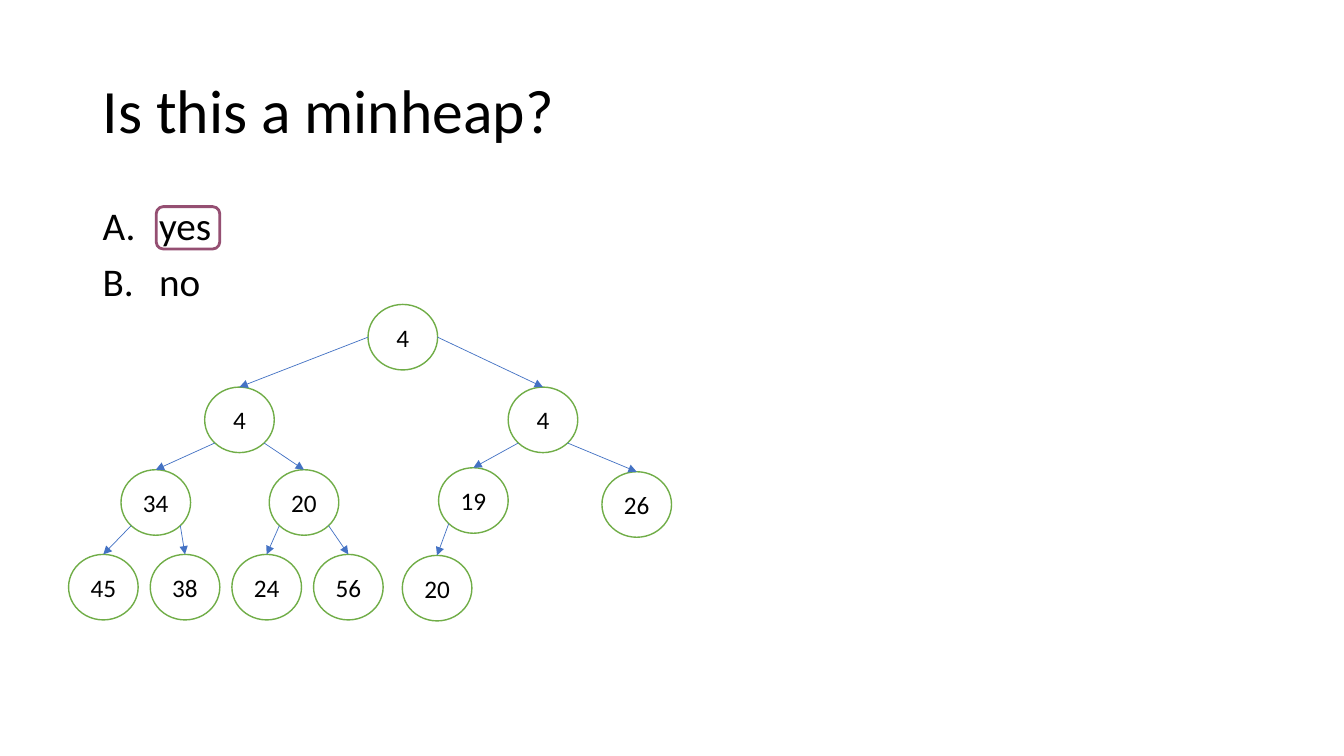
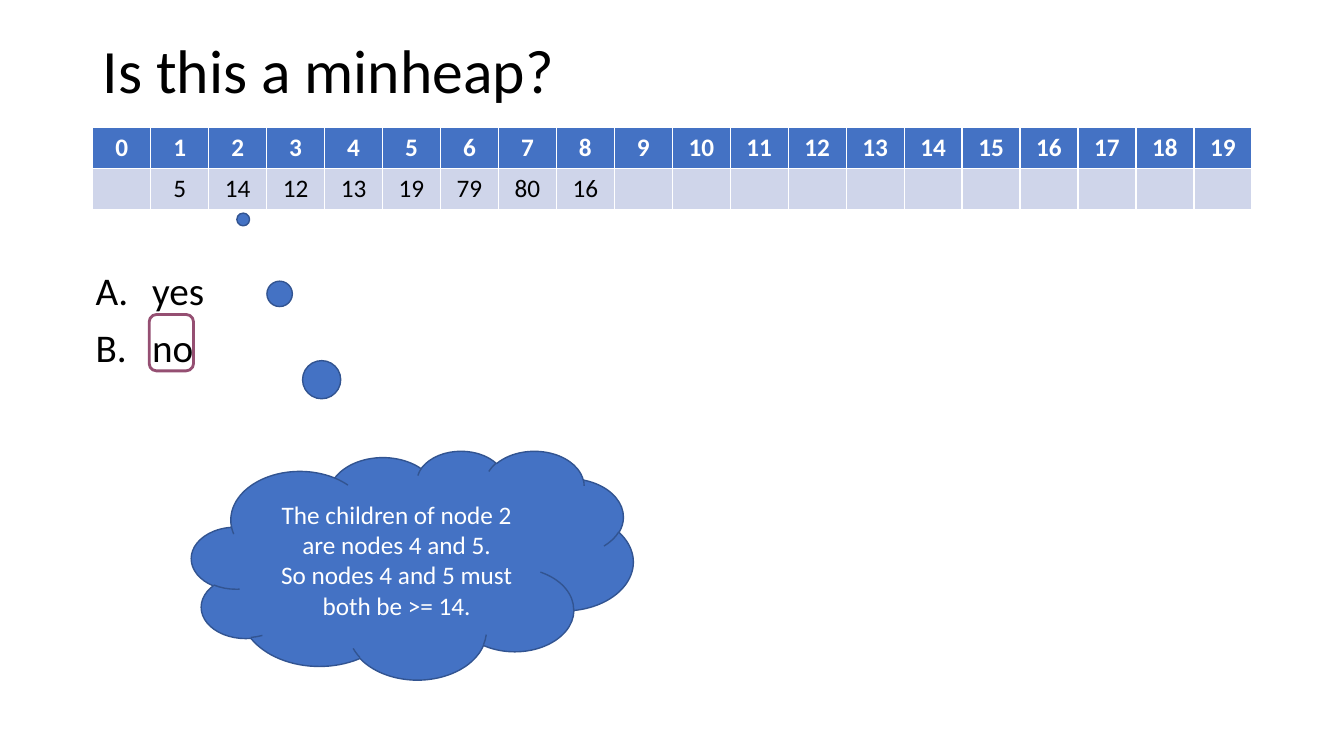
from dataclasses import dataclass
from math import sqrt

from lxml import etree
from pptx import Presentation
from pptx import util as u
from pptx.dml.color import RGBColor
from pptx.enum import shapes, text
from pptx.oxml import ns

FONT = "Calibri"
BLACK, WHITE = "000000", "FFFFFF"
BLUE, DARK_BLUE, PALE_BLUE = "4472C4", "325491", "CFD5EA"
GREEN, PURPLE = "70AD47", "954F72"
NODE_WIDTH, NODE_HEIGHT = 0.69, 0.65
MARGIN, CONTENT_WIDTH = 0.92, 11.5
COLUMNS, ROW_HEIGHT = 20, 0.41


@dataclass(frozen=True)
class Box:
    left: float
    top: float
    width: float
    height: float

    def lengths(self) -> list:
        return [u.Inches(n) for n in (self.left, self.top, self.width, self.height)]


@dataclass(frozen=True)
class Node:
    value: int
    left: float
    top: float

    @property
    def center(self) -> float:
        return self.left + NODE_WIDTH / 2

    @property
    def middle(self) -> float:
        return self.top + NODE_HEIGHT / 2


def rgb(color: str) -> RGBColor:
    return RGBColor.from_string(color)


def write(frame, *lines: str, size: float = 18, color: str = BLACK, bold: bool = False,
          align=text.PP_ALIGN.LEFT, anchor=None, spacing: float = 1.0,
          before: float = 0, lettered: bool = False) -> None:
    frame.word_wrap = True
    if anchor is not None:
        frame.vertical_anchor = anchor
    for index, line in enumerate(lines):
        paragraph = frame.add_paragraph() if index else frame.paragraphs[0]
        paragraph.alignment = align
        paragraph.line_spacing = spacing
        paragraph.space_before = u.Pt(before)
        run = paragraph.add_run()
        run.text = line
        run.font.name = FONT
        run.font.size = u.Pt(size)
        run.font.bold = bold
        run.font.color.rgb = rgb(color)
        if lettered:
            properties = paragraph._p.get_or_add_pPr()
            indent = u.Inches(0.56)
            properties.set("marL", str(indent))
            properties.set("indent", str(-indent))
            etree.SubElement(properties, ns.qn("a:buAutoNum"), type="alphaUcPeriod")


def draw_shape(parent, preset, box: Box, line: str, width: float, fill: str | None = None):
    shape = parent.add_shape(preset, *box.lengths())
    shape.shadow.inherit = False
    if fill:
        shape.fill.solid()
        shape.fill.fore_color.rgb = rgb(fill)
    else:
        shape.fill.background()
    shape.line.color.rgb = rgb(line)
    shape.line.width = u.Pt(width)
    return shape


def add_question(slide, title: Box, answers: Box) -> None:
    write(slide.shapes.add_textbox(*title.lengths()).text_frame, "Is this a minheap?",
          size=44, anchor=text.MSO_ANCHOR.MIDDLE, spacing=0.9)
    write(slide.shapes.add_textbox(*answers.lengths()).text_frame, "yes", "no",
          size=28, spacing=0.9, before=10, lettered=True)


def mark_answer(slide, box: Box) -> None:
    draw_shape(slide.shapes, shapes.MSO_SHAPE.ROUNDED_RECTANGLE, box, PURPLE, 2)


def draw_node(parent, node: Node) -> None:
    circle = draw_shape(parent, shapes.MSO_SHAPE.FLOWCHART_CONNECTOR,
                        Box(node.left, node.top, NODE_WIDTH, NODE_HEIGHT), GREEN, 1, WHITE)
    write(circle.text_frame, str(node.value), align=text.PP_ALIGN.CENTER,
          anchor=text.MSO_ANCHOR.MIDDLE)


def draw_edge(parent, start: Node, child: Node, from_side: bool) -> None:
    side = -1 if child.center < start.center else 1
    across, down = (1, 0) if from_side else (1 / sqrt(2), 1 / sqrt(2))
    ends = (start.center + side * across * NODE_WIDTH / 2,
            start.middle + down * NODE_HEIGHT / 2, child.center, child.top)
    arrow = parent.add_connector(shapes.MSO_CONNECTOR.STRAIGHT, *map(u.Inches, ends))
    arrow.line.color.rgb = rgb(BLUE)
    arrow.line.width = u.Pt(0.5)
    etree.SubElement(arrow.line._get_or_add_ln(), ns.qn("a:tailEnd"), type="triangle")
    etree.SubElement(arrow._element.spPr, ns.qn("a:effectLst"))


def draw_heap(slide, heap: list[Node]) -> None:
    tree = slide.shapes.add_group_shape().shapes
    for node in heap:
        draw_node(tree, node)
    for position, child in enumerate(heap[1:], start=1):
        parent = (position - 1) // 2
        draw_edge(tree, heap[parent], child, from_side=parent == 0)


def draw_array(slide, values: list[int]) -> None:
    box = Box(MARGIN, 1.26, CONTENT_WIDTH, 2 * ROW_HEIGHT)
    table = slide.shapes.add_table(2, COLUMNS, *box.lengths()).table
    table.horz_banding = False
    entries = ["", *map(str, values)]
    entries += [""] * (COLUMNS - len(entries))
    for row in table.rows:
        row.height = u.Inches(ROW_HEIGHT)
    for index, entry in enumerate(entries):
        table.columns[index].width = u.Inches(CONTENT_WIDTH / COLUMNS)
        for row, (label, fill, color) in enumerate(
                [(str(index), BLUE, WHITE), (entry, PALE_BLUE, BLACK)]):
            cell = table.cell(row, index)
            cell.fill.solid()
            cell.fill.fore_color.rgb = rgb(fill)
            if label:
                write(cell.text_frame, label, color=color, bold=row == 0,
                      align=text.PP_ALIGN.CENTER)


def draw_thought(slide) -> None:
    cloud = draw_shape(slide.shapes, shapes.MSO_SHAPE.CLOUD_CALLOUT,
                       Box(1.9, 4.47, 4.38, 2.27), DARK_BLUE, 1, BLUE)
    cloud.adjustments[0] = -0.383
    cloud.adjustments[1] = -1.51
    write(cloud.text_frame, "The children of node 2 are nodes 4 and 5.",
          "So nodes 4 and 5 must both be >= 14.", color=WHITE,
          align=text.PP_ALIGN.CENTER, anchor=text.MSO_ANCHOR.MIDDLE)


def main() -> None:
    deck = Presentation()
    deck.slide_width = u.Inches(13.33)
    deck.slide_height = u.Inches(7.5)
    blank = deck.slide_layouts[6]

    tree_slide = deck.slides.add_slide(blank)
    add_question(tree_slide, Box(MARGIN, 0.4, CONTENT_WIDTH, 1.45), Box(MARGIN, 2, 5.75, 4.76))
    leaves = [Node(value, 0.68 + 0.81 * i, 5.5) for i, value in enumerate([45, 38, 24, 56])]
    draw_heap(tree_slide, [
        Node(4, 3.65, 3.02),
        Node(4, 2.03, 3.84), Node(4, 5.04, 3.84),
        Node(34, 1.2, 4.66), Node(20, 2.67, 4.66), Node(19, 4.35, 4.64), Node(26, 5.97, 4.68),
        *leaves, Node(20, 3.99, 5.51),
    ])
    mark_answer(tree_slide, Box(1.55, 2.05, 0.63, 0.42))

    array_slide = deck.slides.add_slide(blank)
    add_question(array_slide, Box(MARGIN, 0.17, CONTENT_WIDTH, 1.12), Box(0.85, 2.65, 5.75, 3.33))
    draw_array(array_slide, [5, 14, 12, 13, 19, 79, 80, 16])
    draw_thought(array_slide)
    mark_answer(array_slide, Box(1.48, 3.12, 0.44, 0.56))

    deck.save("out.pptx")


main()
